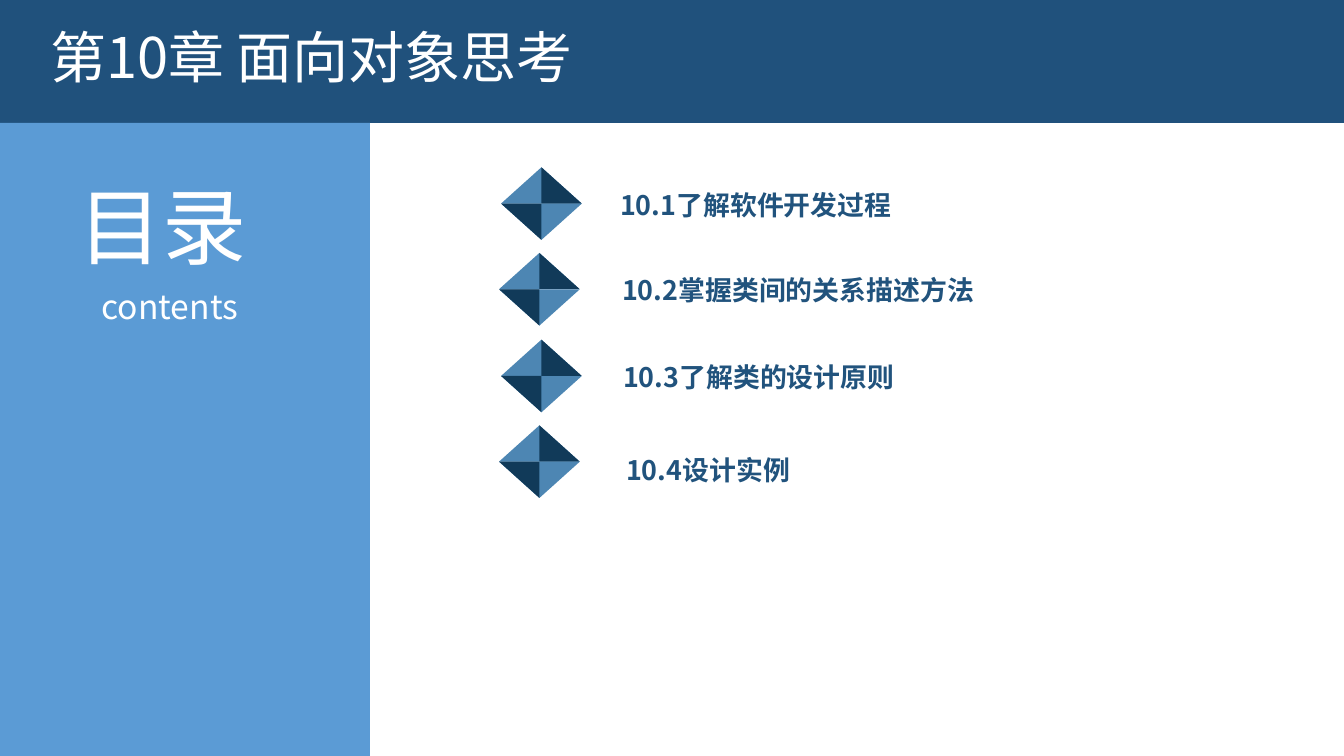
from dataclasses import dataclass

from lxml import etree
from pptx import Presentation
from pptx import util as u
from pptx.dml.color import RGBColor
from pptx.enum import shapes, text
from pptx.oxml import ns


@dataclass(frozen=True)
class Theme:
    font: str = "Noto Sans CJK SC"
    banner: str = "20517C"
    sidebar: str = "5B9BD5"
    light_facet: str = "4D86B3"
    dark_facet: str = "113A59"
    topic: str = "21537D"
    white: str = "FFFFFF"
    contents_size: int = 60
    title_size: int = 40
    body_size: int = 24


class SlideBuilder:
    def __init__(self, page, theme):
        self.page = page
        self.theme = theme

    def paint(self, shape, color):
        shape.shadow.inherit = False
        shape.fill.solid()
        shape.fill.fore_color.rgb = RGBColor.from_string(color)
        shape.line.fill.background()

    def preset(self, parent, kind, frame, color):
        shape = parent.add_shape(kind, *map(u.Inches, frame))
        self.paint(shape, color)
        return shape

    def panel(self, frame, color):
        self.preset(self.page.shapes, shapes.MSO_SHAPE.RECTANGLE, frame, color)

    def facet(self, parent, points):
        start, *rest = [tuple(map(u.Inches, point)) for point in points]
        outline = parent.build_freeform(*start)
        outline.add_line_segments(rest, close=True)
        self.paint(outline.convert_to_shape(), self.theme.dark_facet)

    def diamond(self, left, top, width=0.8, height=0.72):
        """Draw two light triangles with a dark facet over half of each."""
        parent = self.page.shapes.add_group_shape().shapes
        center, middle = left + width / 2, top + height / 2
        for tip, edge, base_top, turn in (
            (top, left + width, top, 0),
            (top + height, left, middle, 180),
        ):
            triangle = self.preset(
                parent, shapes.MSO_SHAPE.ISOSCELES_TRIANGLE,
                (left, base_top, width, height / 2), self.theme.light_facet)
            triangle.rotation = turn
            self.facet(parent, [(center, tip), (center, middle), (edge, middle)])

    def label(self, words, frame, size, color, align=None):
        box = self.page.shapes.add_textbox(*map(u.Inches, frame))
        body = box.text_frame
        body.text = words
        body.word_wrap = True
        body.auto_size = text.MSO_AUTO_SIZE.SHAPE_TO_FIT_TEXT
        para = body.paragraphs[0]
        para.alignment = align
        span = para.runs[0]
        span.font.name = self.theme.font
        span.font.size = u.Pt(size)
        span.font.color.rgb = RGBColor.from_string(color)
        east_asian = etree.SubElement(span._r.get_or_add_rPr(), ns.qn("a:ea"))
        east_asian.set("typeface", self.theme.font)
        return box

    def topic(self, words, frame):
        """Write a bold small-caps topic with narrow margins."""
        box = self.label(words, frame, self.theme.body_size, self.theme.topic)
        body = box.text_frame
        body.margin_left = body.margin_right = u.Inches(0.08)
        body.margin_top = body.margin_bottom = u.Inches(0.04)
        span = body.paragraphs[0].runs[0]
        span.font.bold = True
        span._r.get_or_add_rPr().set("cap", "small")


def main():
    deck = Presentation()
    deck.slide_width, deck.slide_height = u.Inches(13.33), u.Inches(7.5)
    theme = Theme()
    builder = SlideBuilder(deck.slides.add_slide(deck.slide_layouts[6]), theme)

    builder.panel((-0.01, -0.01, 13.36, 1.23), theme.banner)
    builder.panel((0, 1.22, 3.67, 6.28), theme.sidebar)
    justify = text.PP_ALIGN.JUSTIFY
    builder.label("目录", (0.68, 1.68, 2.19, 1.11),
                  theme.contents_size, theme.white, justify)
    builder.label("contents", (0.91, 2.79, 1.74, 0.51),
                  theme.body_size, theme.white, justify)
    builder.label("第10章 面向对象思考", (0.4, 0.17, 10.15, 0.77),
                  theme.title_size, theme.white)

    topics = [
        ("10.1了解软件开发过程", 4.97, (6.07, 1.76, 5.89, 0.48)),
        ("10.2掌握类间的关系描述方法", 4.95, (6.09, 2.61, 4.58, 0.48)),
        ("10.3了解类的设计原则", 4.97, (6.1, 3.47, 5.39, 0.48)),
        ("10.4设计实例", 4.95, (6.13, 4.39, 6.12, 0.48)),
    ]
    first_top, pitch = 1.66, 0.855
    for row, (words, diamond_left, frame) in enumerate(topics):
        builder.diamond(diamond_left, round(first_top + row * pitch, 2))
        builder.topic(words, frame)

    deck.save("out.pptx")


if __name__ == "__main__":
    main()
